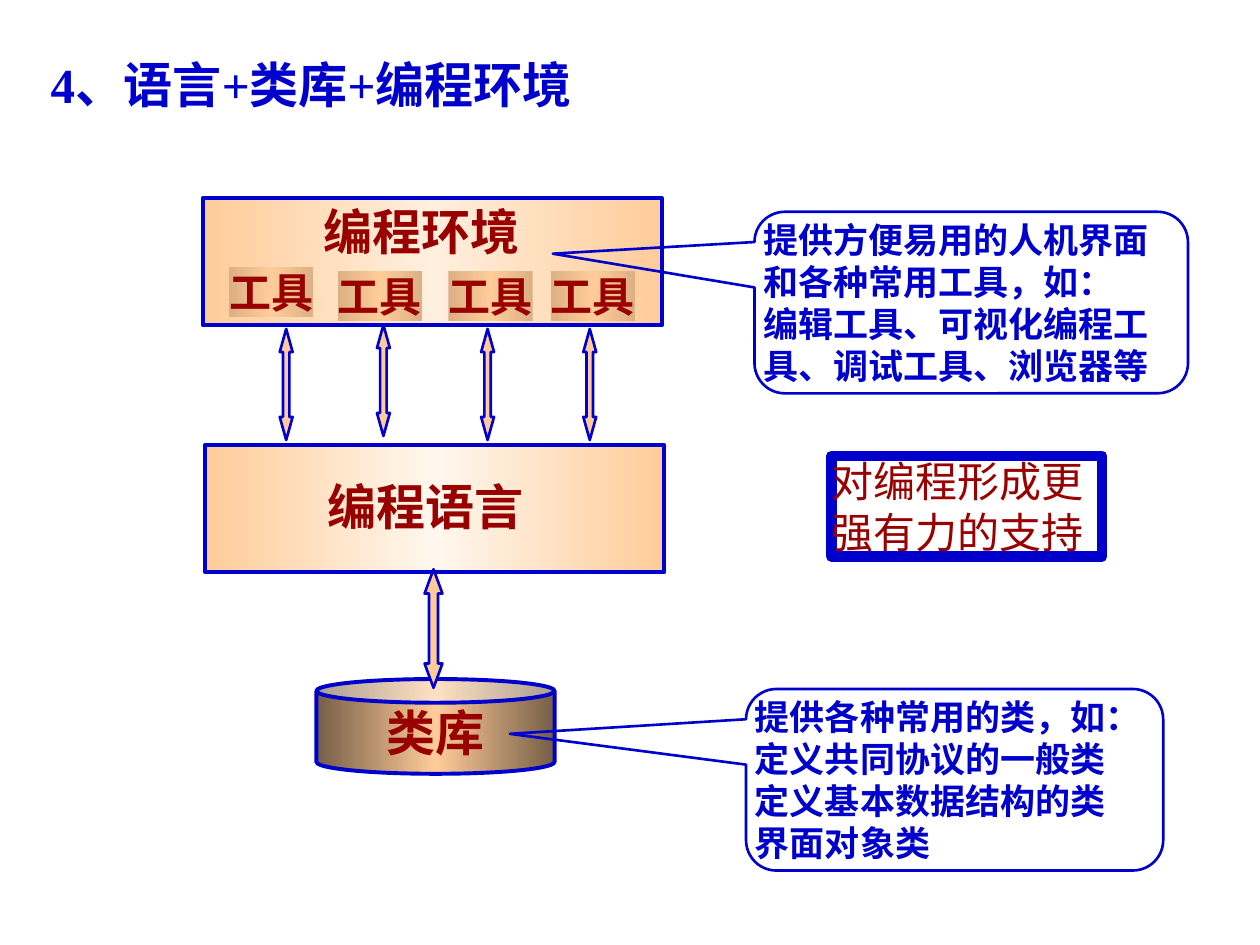
from copy import deepcopy

from pptx import Presentation
from pptx.dml.color import RGBColor
from pptx.enum.shapes import MSO_SHAPE
from pptx.enum.text import MSO_ANCHOR, MSO_AUTO_SIZE, PP_ALIGN
from pptx.oxml.ns import qn
from pptx.util import Cm, Pt

COLORS = {
    "blue": "0000CC",
    "red": "990000",
    "peach": "FFCC99",
    "pale": "FFF7EE",
    "cream": "FFEFDF",
    "tan": "DCB084",
    "brown": "765E47",
}
FONT = "Times New Roman"
BLOCK_SIZE = (9.25, 2.57)
LABEL_SIZE = (3.94, 1.19)
TOOL_SIZE = (1.7, 1.02)


def color(name):
    return RGBColor.from_string(COLORS[name])


def write(target, *lines, size=28, ink="red", bold=True, wrap=False,
          align=PP_ALIGN.LEFT, anchor=MSO_ANCHOR.TOP):
    frame = target.text_frame
    frame.margin_left = frame.margin_right = 0
    frame.margin_top = frame.margin_bottom = 0
    frame.word_wrap = wrap
    frame.auto_size = MSO_AUTO_SIZE.NONE
    frame.vertical_anchor = anchor
    frame.text = "\n".join(lines)
    for paragraph in frame.paragraphs:
        paragraph.alignment = align
        font = paragraph.font
        font.name = FONT
        font.size = Pt(size)
        font.bold = bold
        font.color.rgb = color(ink)


def add_block(slide, kind, box, line=None, fill=None):
    block = slide.shapes.add_shape(kind, *map(Cm, box))
    block.shadow.inherit = False
    if fill:
        block.fill.solid()
        block.fill.fore_color.rgb = color(fill)
    else:
        block.fill.background()
    if line:
        block.line.color.rgb = color("blue")
        block.line.width = Pt(line)
    else:
        block.line.fill.background()
    return block


def add_gradient_block(slide, kind, box, edge, middle, line=None):
    block = add_block(slide, kind, box, line)
    block.fill.gradient()
    block.fill.gradient_angle = 0
    stop_list = block.element.spPr.find(qn("a:gradFill")).find(qn("a:gsLst"))
    stop_list.insert(1, deepcopy(stop_list[0]))
    stops = zip(block.fill.gradient_stops, (0, 0.5, 1), (edge, middle, edge))
    for stop, position, name in stops:
        stop.position = position
        stop.color.rgb = color(name)
    return block


def add_label(slide, left, top, text):
    label = slide.shapes.add_textbox(*map(Cm, (left, top, *LABEL_SIZE)))
    write(label, text)


def add_exchange_arrow(slide, center_x, center_y, length, thickness, head):
    box = (center_x - length / 2, center_y - thickness / 2, length, thickness)
    arrow = add_block(slide, MSO_SHAPE.LEFT_RIGHT_ARROW, box, 1.5, "peach")
    arrow.rotation = 270
    arrow.adjustments[1] = head


def add_callout(slide, box, tip, *lines):
    callout = add_block(slide, MSO_SHAPE.ROUNDED_RECTANGULAR_CALLOUT, box, 1.5)
    for index, value in enumerate((*tip, 0.167)):
        callout.adjustments[index] = value
    write(callout, *lines, size=20, ink="blue", wrap=True,
          anchor=MSO_ANCHOR.MIDDLE)


def add_title(slide, text):
    title = slide.shapes.title
    title.left, title.top, title.width, title.height = map(
        Cm, (1.02, 1.09, 11.68, 1.19))
    write(title, text, ink="blue")


def add_language(slide):
    add_gradient_block(slide, MSO_SHAPE.RECTANGLE, (4.14, 8.97, *BLOCK_SIZE),
                       "peach", "pale", 2.25)
    add_label(slide, 6.6, 9.6, "编程语言")


def add_support(slide):
    support = add_block(slide, MSO_SHAPE.RECTANGLE,
                        (16.76, 9.19, 5.46, 2.03), 6)
    write(support, "对编程形成更强有力的支持", size=24, bold=False, wrap=True)


def add_library(slide):
    library = add_gradient_block(slide, MSO_SHAPE.CAN,
                                 (6.38, 13.69, 4.8, 1.91),
                                 "brown", "peach", 2.25)
    library.adjustments[0] = 0.25
    write(library, "类库", wrap=True, align=PP_ALIGN.CENTER,
          anchor=MSO_ANCHOR.MIDDLE)
    add_exchange_arrow(slide, 8.74, 12.67, 2.39, 0.36, 1.36)
    add_callout(slide, (15.04, 13.89, 8.41, 3.66), (-1.066, -0.253),
                "提供各种常用的类，如：", "定义共同协议的一般类",
                "定义基本数据结构的类", "界面对象类")


def add_environment(slide):
    add_gradient_block(slide, MSO_SHAPE.RECTANGLE, (4.09, 3.99, *BLOCK_SIZE),
                       "peach", "cream", 2.25)
    add_label(slide, 6.53, 4.06, "编程环境")
    for left, top in ((4.62, 5.38), (6.81, 5.46), (9.04, 5.46), (11.1, 5.46)):
        tool = add_gradient_block(slide, MSO_SHAPE.RECTANGLE,
                                  (left, top, *TOOL_SIZE), "tan", "peach")
        write(tool, "工具", size=24)
    for x, y in ((5.77, 7.75), (7.73, 7.67), (9.83, 7.75), (11.89, 7.75)):
        add_exchange_arrow(slide, x, y, 2.24, 0.26, 1.79)
    add_callout(slide, (15.21, 4.27, 8.74, 3.66), (-0.965, -0.269),
                "提供方便易用的人机界面和各种常用工具，如：",
                "编辑工具、可视化编程工具、调试工具、浏览器等")


def main():
    deck = Presentation()
    deck.slide_width, deck.slide_height = Cm(25.4), Cm(19.05)
    slide = deck.slides.add_slide(deck.slide_layouts[5])
    add_title(slide, "4、语言+类库+编程环境")
    add_language(slide)
    add_support(slide)
    add_library(slide)
    add_environment(slide)
    deck.save("out.pptx")


if __name__ == "__main__":
    main()
